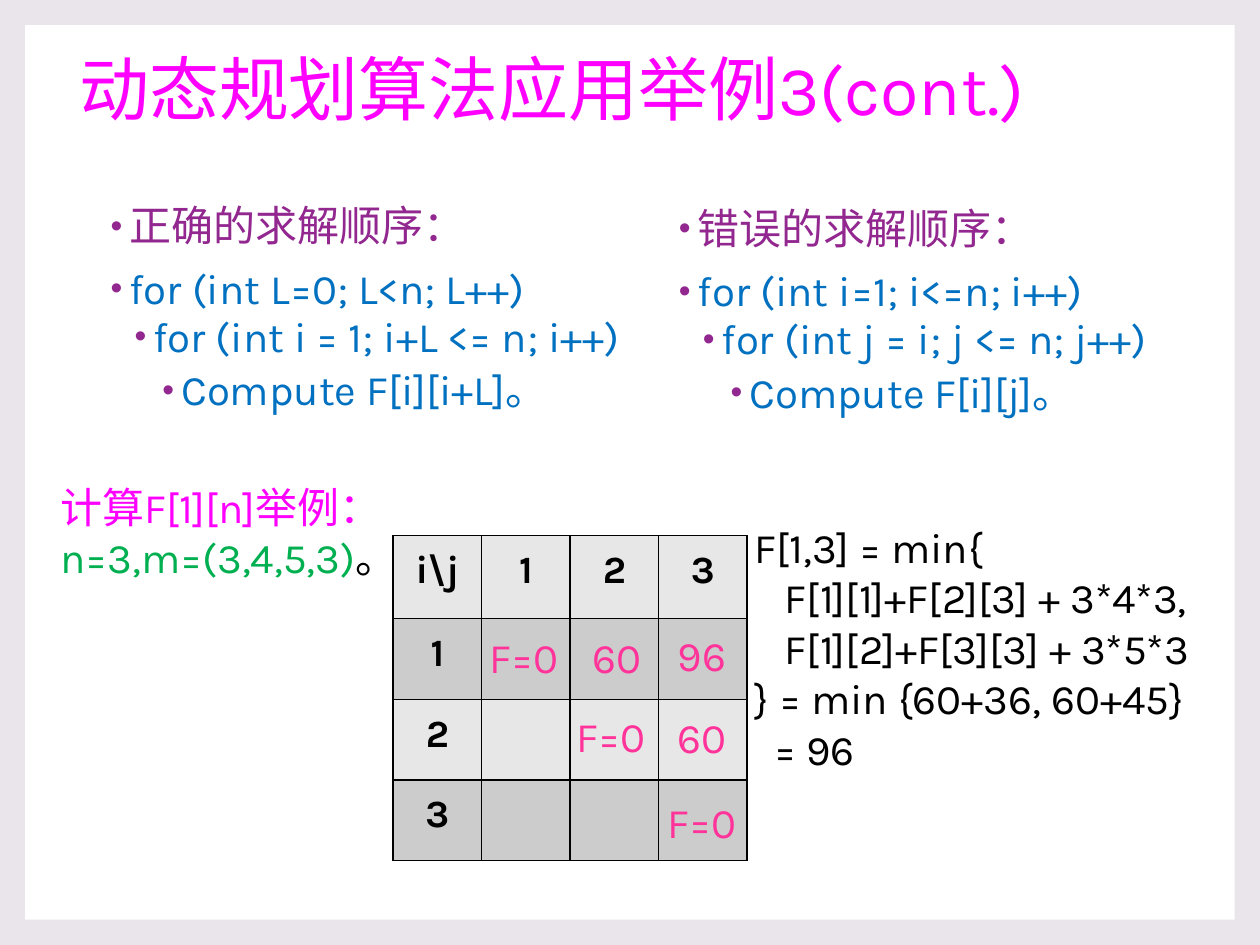
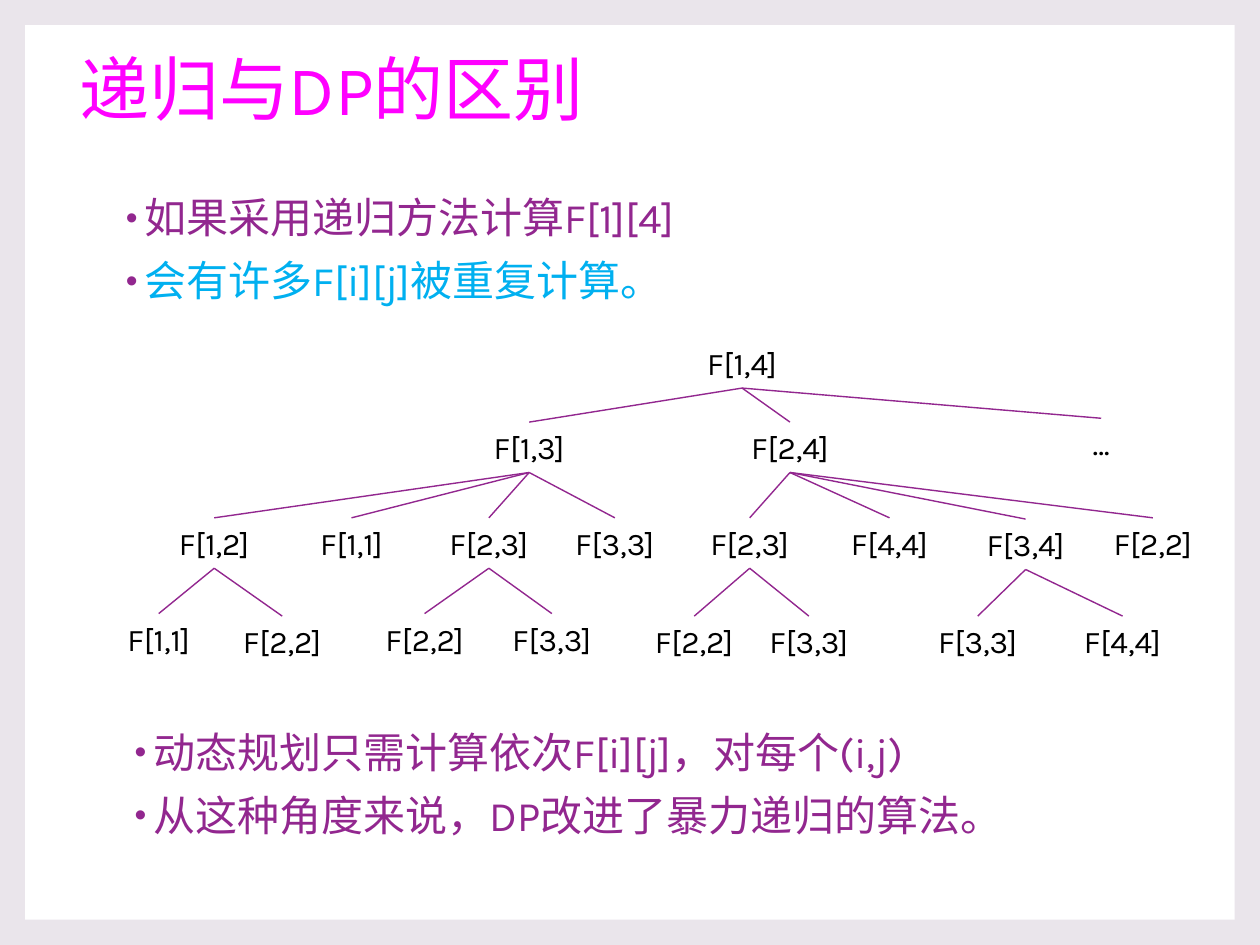
from dataclasses import dataclass

import lxml.etree
import pptx
import pptx.dml.color
import pptx.enum.shapes
import pptx.enum.text
import pptx.oxml.ns
import pptx.presentation
import pptx.shapes.autoshape
import pptx.slide
import pptx.util

Inches = pptx.util.Inches
Pt = pptx.util.Pt
RGBColor = pptx.dml.color.RGBColor
Align = pptx.enum.text.PP_ALIGN
qn = pptx.oxml.ns.qn

FRAME = RGBColor(0xEA, 0xE5, 0xEB)
WHITE = RGBColor(0xFF, 0xFF, 0xFF)
BLACK = RGBColor(0x00, 0x00, 0x00)
MAGENTA = RGBColor(0xFF, 0x00, 0xFF)
PURPLE = RGBColor(0x92, 0x27, 0x8F)
BLUE = RGBColor(0x00, 0x70, 0xC0)
SKY = RGBColor(0x00, 0xB0, 0xF0)
GREEN = RGBColor(0x00, 0xB0, 0x50)
PINK = RGBColor(0xFF, 0x33, 0x99)
LIGHT_ROW = RGBColor(0xE7, 0xE7, 0xE7)
DARK_ROW = RGBColor(0xCC, 0xCC, 0xCC)

FONT = "Karla"
BODY_SIZE = 24
LEVEL_INDENTS = (0.19, 0.38, 0.6)
HANGING = 0.15
NODE_WIDTH = 1.2
NODE_HEIGHT = 0.4
TABLE_SIZE = 4


@dataclass(frozen=True)
class Area:
    left: float
    top: float
    width: float
    height: float

    def lengths(self) -> tuple[int, ...]:
        return tuple(Inches(value) for value in (self.left, self.top, self.width, self.height))


@dataclass(frozen=True)
class Line:
    text: str
    color: RGBColor = BLACK
    level: int = 0
    indent: float = 0
    black_end: str = ""


@dataclass(frozen=True)
class TableValue:
    text: str
    left: float
    top: float
    width: float


@dataclass(frozen=True)
class Node:
    label: str
    center: float
    top: float
    children: tuple["Node", ...] = ()


TITLE_AREA = Area(0.53, 0.29, 8.95, 0.89)

CORRECT_ORDER = (
    Line("正确的求解顺序：", PURPLE),
    Line("for (int L=0; L<n; L++)", BLUE),
    Line("for (int i = 1; i+L <= n; i++)", BLUE, 1),
    Line("Compute F[i][i+L]。", BLUE, 2),
)
WRONG_ORDER = (
    Line("错误的求解顺序：", PURPLE),
    Line("for (int i=1; i<=n; i++)", BLUE),
    Line("for (int j = i; j <= n; j++)", BLUE, 1),
    Line("Compute F[i][j]。", BLUE, 2),
)
EXAMPLE = (
    Line("计算F[1][n]举例：", MAGENTA),
    Line("n=3,m=(3,4,5,3)", GREEN, black_end="。"),
)
FORMULA = (
    Line("F[1,3] = min{"),
    Line("F[1][1]+F[2][3] + 3*4*3,", indent=0.24),
    Line("F[1][2]+F[3][3] + 3*5*3", indent=0.24),
    Line("} = min {60+36, 60+45}"),
    Line("= 96", indent=0.16),
)
TABLE_VALUES = (
    TableValue("F=0", 3.79, 4.96, 0.8),
    TableValue("F=0", 4.48, 5.59, 0.8),
    TableValue("F=0", 5.2, 6.27, 0.8),
    TableValue("60", 4.6, 4.96, 0.59),
    TableValue("60", 5.28, 5.6, 0.59),
    TableValue("96", 5.28, 4.95, 0.59),
)
RECURSION = (
    Line("如果采用递归方法计算F[1][4]", PURPLE),
    Line("会有许多F[i][j]被重复计算。", SKY),
)
CONCLUSION = (
    Line("动态规划只需计算依次F[i][j]，对每个(i,j)", PURPLE),
    Line("从这种角度来说，DP改进了暴力递归的算法。", PURPLE),
)
CALL_TREE = Node("F[1,4]", 5.89, 2.68, (
    Node("F[1,3]", 4.2, 3.35, (
        Node("F[1,2]", 1.7, 4.11, (
            Node("F[1,1]", 1.26, 4.87),
            Node("F[2,2]", 2.24, 4.89),
        )),
        Node("F[1,1]", 2.79, 4.11),
        Node("F[2,3]", 3.88, 4.11, (
            Node("F[2,2]", 3.37, 4.87),
            Node("F[3,3]", 4.38, 4.87),
        )),
        Node("F[3,3]", 4.88, 4.11),
    )),
    Node("F[2,4]", 6.27, 3.35, (
        Node("F[2,3]", 5.95, 4.11, (
            Node("F[2,2]", 5.51, 4.89),
            Node("F[3,3]", 6.42, 4.89),
        )),
        Node("F[4,4]", 7.06, 4.11),
        Node("F[3,4]", 8.14, 4.12, (
            Node("F[3,3]", 7.76, 4.89),
            Node("F[4,4]", 8.91, 4.89),
        )),
        Node("F[2,2]", 9.15, 4.11),
    )),
    Node("…", 8.74, 3.32),
))


def style_runs(para, size: float, color: RGBColor, bold: bool = False) -> None:
    for span in para.runs:
        span.font.name = FONT
        span.font.size = Pt(size)
        span.font.bold = bold
        span.font.color.rgb = color


def set_indent(para, left: float, hanging: float = 0) -> None:
    properties = para._p.get_or_add_pPr()
    properties.set("marL", str(Inches(left)))
    properties.set("indent", str(-Inches(hanging)))


def add_bullet(para) -> None:
    properties = para._p.get_or_add_pPr()
    color = lxml.etree.SubElement(properties, qn("a:buClr"))
    lxml.etree.SubElement(color, qn("a:srgbClr"), val=str(PURPLE))
    lxml.etree.SubElement(properties, qn("a:buSzPct"), val="80000")
    lxml.etree.SubElement(properties, qn("a:buFont"), typeface="Arial")
    lxml.etree.SubElement(properties, qn("a:buChar"), char="•")


def add_text(page: pptx.slide.Slide, area: Area, lines: tuple[Line, ...],
             size: float = BODY_SIZE) -> pptx.shapes.autoshape.Shape:
    box = page.shapes.add_textbox(*area.lengths())
    frame = box.text_frame
    frame.word_wrap = True
    frame.text = "\n".join(line.text for line in lines)
    for para, line in zip(frame.paragraphs, lines):
        style_runs(para, size, line.color)
        if line.indent:
            set_indent(para, line.indent)
        if line.black_end:
            span = para.add_run()
            span.text = line.black_end
            span.font.name = FONT
            span.font.size = Pt(size)
            span.font.color.rgb = BLACK
    return box


def add_bullets(page: pptx.slide.Slide, area: Area, lines: tuple[Line, ...]) -> None:
    box = add_text(page, area, lines)
    for position, (para, line) in enumerate(zip(box.text_frame.paragraphs, lines)):
        add_bullet(para)
        para.level = line.level
        set_indent(para, LEVEL_INDENTS[line.level], HANGING)
        para.line_spacing = 0.9
        if position:
            para.space_before = Pt(1.5 if line.level else 10)
        if line.level:
            para.space_after = Pt(3)


def add_page(deck: pptx.presentation.Presentation, title: str) -> pptx.slide.Slide:
    page = deck.slides.add_slide(deck.slide_layouts[6])
    page.background.fill.solid()
    page.background.fill.fore_color.rgb = FRAME
    panel = page.shapes.add_shape(pptx.enum.shapes.MSO_SHAPE.RECTANGLE,
                                  *Area(0.2, 0.2, 9.6, 7.1).lengths())
    panel.shadow.inherit = False
    panel.fill.solid()
    panel.fill.fore_color.rgb = WHITE
    panel.line.fill.background()
    heading = add_text(page, TITLE_AREA, (Line(title, MAGENTA),), 40)
    heading.text_frame.vertical_anchor = pptx.enum.text.MSO_ANCHOR.MIDDLE
    heading.text_frame.paragraphs[0].line_spacing = 0.9
    return page


def style_cell(cell, fill: RGBColor) -> None:
    properties = cell._tc.get_or_add_tcPr()
    for side in ("a:lnL", "a:lnR", "a:lnT", "a:lnB"):
        border = lxml.etree.SubElement(properties, qn(side), w=str(Pt(1)))
        solid = lxml.etree.SubElement(border, qn("a:solidFill"))
        lxml.etree.SubElement(solid, qn("a:srgbClr"), val=str(BLACK))
    cell.fill.solid()
    cell.fill.fore_color.rgb = fill
    cell.margin_left = cell.margin_right = 0
    cell.margin_top = cell.margin_bottom = Inches(0.1)


def add_index_table(page: pptx.slide.Slide) -> None:
    area = Area(3.12, 4.25, 2.81, 2.58)
    table = page.shapes.add_table(TABLE_SIZE, TABLE_SIZE, *area.lengths()).table
    for column in table.columns:
        column.width = Inches(area.width / TABLE_SIZE)
    for row_index, row in enumerate(table.rows):
        row.height = Inches(0.64 if row_index else 0.66)
        for column_index, cell in enumerate(row.cells):
            style_cell(cell, DARK_ROW if row_index % 2 else LIGHT_ROW)
            if row_index and column_index:
                continue
            cell.text_frame.text = str(row_index + column_index) if row_index + column_index else "i\\j"
            para = cell.text_frame.paragraphs[0]
            para.alignment = Align.CENTER
            style_runs(para, 22, BLACK, True)


def add_branch(page: pptx.slide.Slide, parent: Node, child: Node) -> None:
    branch = page.shapes.add_connector(
        pptx.enum.shapes.MSO_CONNECTOR.STRAIGHT,
        Inches(parent.center), Inches(parent.top + NODE_HEIGHT),
        Inches(child.center), Inches(child.top))
    branch.line.color.rgb = PURPLE
    branch.line.width = Pt(0.79)
    lxml.etree.SubElement(branch._element.spPr, qn("a:effectLst"))


def add_tree(page: pptx.slide.Slide, node: Node) -> None:
    area = Area(node.center - NODE_WIDTH / 2, node.top, NODE_WIDTH, NODE_HEIGHT)
    box = add_text(page, area, (Line(node.label),), 18)
    box.text_frame.paragraphs[0].alignment = Align.CENTER
    for child in node.children:
        add_branch(page, node, child)
        add_tree(page, child)


def build_order_page(deck: pptx.presentation.Presentation) -> None:
    page = add_page(deck, "动态规划算法应用举例3(cont.)")
    add_bullets(page, Area(0.74, 1.58, 4.59, 1.65), CORRECT_ORDER)
    add_bullets(page, Area(5.25, 1.6, 4.36, 1.65), WRONG_ORDER)
    add_text(page, Area(0.38, 3.77, 3, 0.91), EXAMPLE)
    add_index_table(page)
    for value in TABLE_VALUES:
        add_text(page, Area(value.left, value.top, value.width, 0.5), (Line(value.text, PINK),))
    add_text(page, Area(5.89, 4.09, 4, 2.12), FORMULA)


def build_recursion_page(deck: pptx.presentation.Presentation) -> None:
    page = add_page(deck, "递归与DP的区别")
    add_bullets(page, Area(0.86, 1.52, 8.1, 1.5), RECURSION)
    add_tree(page, CALL_TREE)
    add_bullets(page, Area(0.93, 5.76, 8.1, 1.03), CONCLUSION)


def main() -> None:
    deck = pptx.Presentation()
    deck.slide_width = Inches(10)
    deck.slide_height = Inches(7.5)
    build_order_page(deck)
    build_recursion_page(deck)
    deck.save("out.pptx")


if __name__ == "__main__":
    main()
